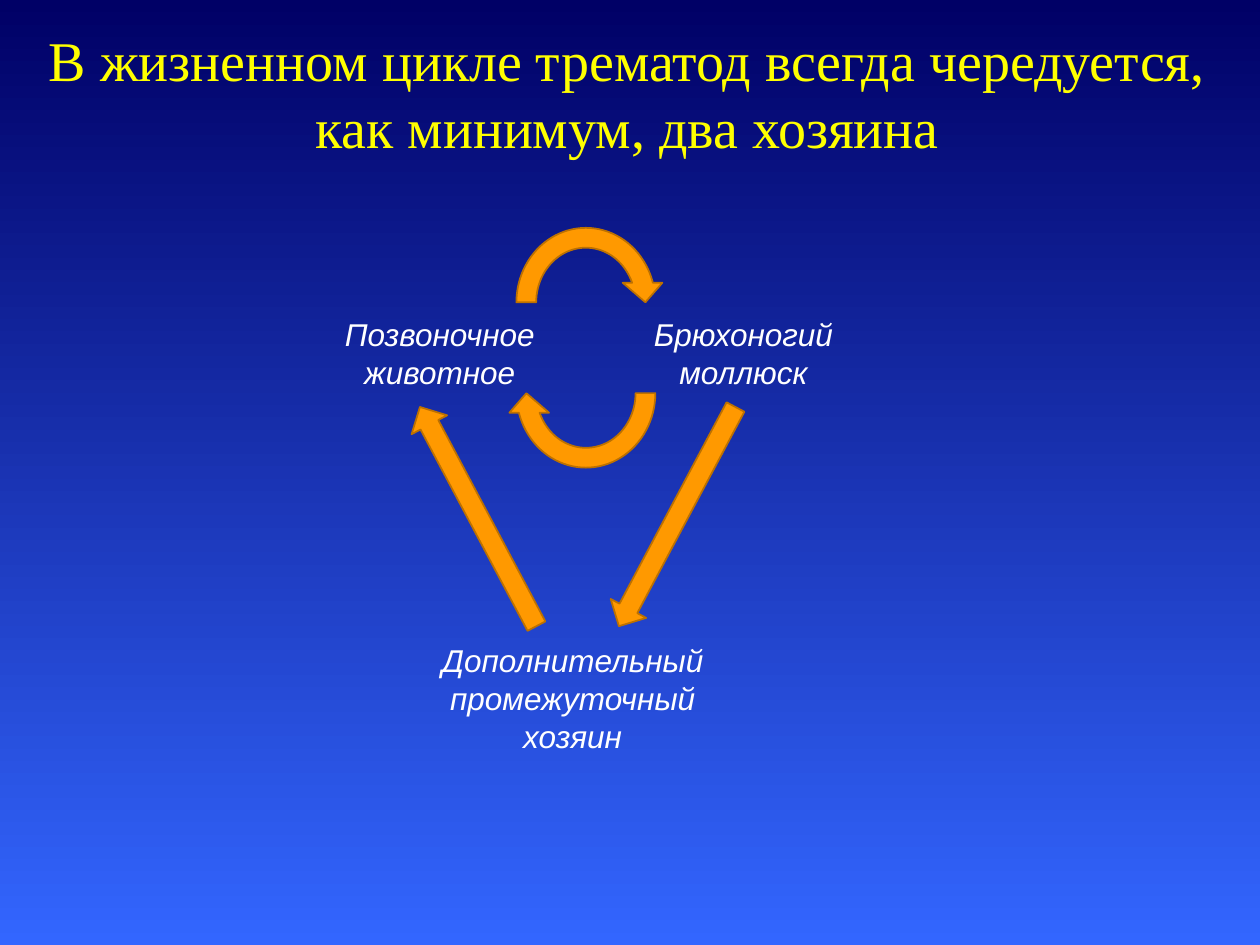
from pptx import Presentation
from pptx.dml.color import RGBColor
from pptx.enum.shapes import MSO_SHAPE
from pptx.enum.text import MSO_ANCHOR, MSO_AUTO_SIZE, PP_ALIGN
from pptx.util import Inches, Pt

NAVY = RGBColor(0x00, 0x00, 0x66)
BLUE = RGBColor(0x33, 0x66, 0xFF)
YELLOW = RGBColor(0xFF, 0xFF, 0x00)
WHITE = RGBColor(0xFF, 0xFF, 0xFF)
ORANGE = RGBColor(0xFF, 0x99, 0x00)
BROWN = RGBColor(0xBD, 0x71, 0x00)

CENTER = PP_ALIGN.CENTER
MIDDLE = MSO_ANCHOR.MIDDLE
NO_FIT = MSO_AUTO_SIZE.NONE
GROW = MSO_AUTO_SIZE.SHAPE_TO_FIT_TEXT
CURVED = MSO_SHAPE.CIRCULAR_ARROW
STRAIGHT = MSO_SHAPE.LEFT_ARROW


class LifeCycleSlide:
    title_font = "Times New Roman"
    label_font = "Arial"

    def __init__(self, deck):
        self.page = deck.slides.add_slide(deck.slide_layouts[5])

    def background(self, top_color, bottom_color):
        fill = self.page.background.fill
        fill.gradient()
        fill.gradient_angle = 270
        for stop, color, position in zip(
            fill.gradient_stops, (top_color, bottom_color), (0, 1)
        ):
            stop.color.rgb = color
            stop.position = position

    def fill_text(self, box, text, font, size, color, italic=False):
        frame = box.text_frame
        frame.word_wrap = True
        frame.text = text
        para = frame.paragraphs[0]
        para.alignment = CENTER
        for span in para.runs:
            span.font.name = font
            span.font.size = Pt(size)
            span.font.italic = italic
            span.font.color.rgb = color

    def title(self, text, left, top, width, height):
        box = self.page.shapes.title
        box.left, box.top = Inches(left), Inches(top)
        box.width, box.height = Inches(width), Inches(height)
        self.fill_text(box, text, self.title_font, 32, YELLOW)
        box.text_frame.vertical_anchor = MIDDLE
        box.text_frame.auto_size = NO_FIT

    def label(self, text, left, top, width, height):
        box = self.page.shapes.add_textbox(
            Inches(left), Inches(top), Inches(width), Inches(height)
        )
        self.fill_text(box, text, self.label_font, 18, WHITE, italic=True)
        box.text_frame.auto_size = GROW

    def arrow(self, kind, left, top, width, height, rotation=0):
        shape = self.page.shapes.add_shape(
            kind, Inches(left), Inches(top), Inches(width), Inches(height)
        )
        shape.rotation = rotation
        shape.shadow.inherit = False
        shape.fill.solid()
        shape.fill.fore_color.rgb = ORANGE
        shape.line.color.rgb = BROWN
        shape.line.width = Pt(1)


def main():
    deck = Presentation()
    deck.slide_width, deck.slide_height = Inches(10), Inches(7.5)
    slide = LifeCycleSlide(deck)
    slide.background(NAVY, BLUE)
    slide.title(
        "В жизненном цикле трематод всегда чередуется, как минимум, два хозяина",
        0.04, 0.11, 9.88, 1.25,
    )
    slide.label("Позвоночное животное", 2.58, 2.45, 1.82, 0.71)
    slide.label("Брюхоногий моллюск", 4.99, 2.45, 1.82, 0.71)
    slide.label("Дополнительный промежуточный хозяин", 3.22, 5.04, 2.65, 1.01)
    for top, rotation in ((1.73, 0), (2.45, 180)):
        slide.arrow(CURVED, 4.02, top, 1.26, 1.34, rotation)
    for left, rotation in ((4.39, 298), (2.81, 62)):
        slide.arrow(STRAIGHT, left, 3.94, 1.97, 0.32, rotation)
    deck.save("out.pptx")


if __name__ == "__main__":
    main()
